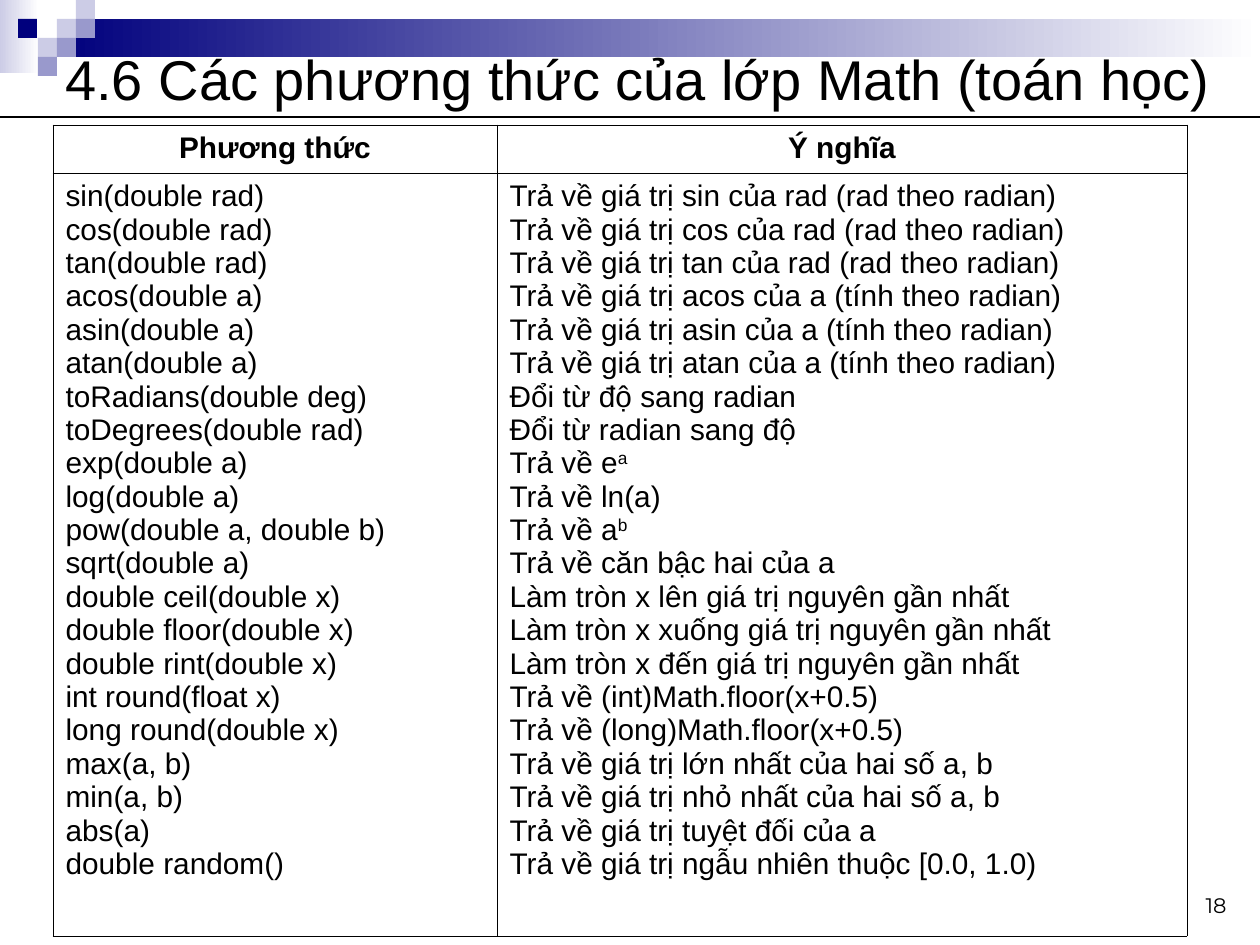
"""Build the slide that lists the methods of the Math class."""
import pptx
import pptx.dml.color
import pptx.enum.dml
import pptx.enum.shapes
import pptx.enum.text
import pptx.oxml
import pptx.oxml.ns
import pptx.util
from lxml import etree

PX = 914400 / 126
WHITE = pptx.dml.color.RGBColor(0xFF, 0xFF, 0xFF)
BLACK = pptx.dml.color.RGBColor(0x00, 0x00, 0x00)
NAVY = pptx.dml.color.RGBColor(0x00, 0x00, 0x7D)
LILAC = pptx.dml.color.RGBColor(0xCC, 0xCC, 0xE6)
VIOLET = pptx.dml.color.RGBColor(0x99, 0x99, 0xCC)
ALIGN = pptx.enum.text.PP_ALIGN
ANCHOR = pptx.enum.text.MSO_ANCHOR
RECT = pptx.enum.shapes.MSO_SHAPE.RECTANGLE
BODY = {"name": "Arial", "size": pptx.util.Pt(17), "bold": False}
HEAD = {**BODY, "bold": True}
TITLE = {**BODY, "size": pptx.util.Pt(32)}
NUMBER = {"name": "Montserrat", "size": pptx.util.Pt(12)}
METHODS = [
    ("sin(double rad)", "Trả về giá trị sin của rad (rad theo radian)"),
    ("cos(double rad)", "Trả về giá trị cos của rad (rad theo radian)"),
    ("tan(double rad)", "Trả về giá trị tan của rad (rad theo radian)"),
    ("acos(double a)", "Trả về giá trị acos của a (tính theo radian)"),
    ("asin(double a)", "Trả về giá trị asin của a (tính theo radian)"),
    ("atan(double a)", "Trả về giá trị atan của a (tính theo radian)"),
    ("toRadians(double deg)", "Đổi từ độ sang radian"),
    ("toDegrees(double rad)", "Đổi từ radian sang độ"),
    ("exp(double a)", "Trả về e^a"),
    ("log(double a)", "Trả về ln(a)"),
    ("pow(double a, double b)", "Trả về a^b"),
    ("sqrt(double a)", "Trả về căn bậc hai của a"),
    ("double ceil(double x)", "Làm tròn x lên giá trị nguyên gần nhất"),
    ("double floor(double x)", "Làm tròn x xuống giá trị nguyên gần nhất"),
    ("double rint(double x)", "Làm tròn x đến giá trị nguyên gần nhất"),
    ("int round(float x)", "Trả về (int)Math.floor(x+0.5)"),
    ("long round(double x)", "Trả về (long)Math.floor(x+0.5)"),
    ("max(a, b)", "Trả về giá trị lớn nhất của hai số a, b"),
    ("min(a, b)", "Trả về giá trị nhỏ nhất của hai số a, b"),
    ("abs(a)", "Trả về giá trị tuyệt đối của a"),
    ("double random()", "Trả về giá trị ngẫu nhiên thuộc [0.0, 1.0)"),
]


def emu(*lengths):
    return [pptx.util.Emu(round(n * PX)) for n in lengths]


def write(tf, lines, style, align, indent=0):
    for i, line in enumerate(lines):
        p = tf.paragraphs[0] if i == 0 else tf.add_paragraph()
        p.alignment = align
        if indent:
            pPr = p._p.get_or_add_pPr()
            pPr.set("marL", str(indent))
            pPr.set("indent", str(-indent))
        base, _, power = line.partition("^")
        for text in filter(None, (base, power)):
            r = p.add_run()
            r.text = text
            r.font.color.rgb = BLACK
            for key, value in style.items():
                setattr(r.font, key, value)
        if power:
            r._r.get_or_add_rPr().set("baseline", "30000")


prs = pptx.Presentation()
prs.slide_width, prs.slide_height = emu(1260, 945)
s = prs.slides.add_slide(prs.slide_layouts[6])

for box, color in [((0, 0, 39, 73), LILAC), ((57, 19, 1203, 38), NAVY)]:
    sp = s.shapes.add_shape(RECT, *emu(*box))
    sp.shadow.inherit = False
    sp.line.fill.background()
    sp.fill.gradient()
    sp.fill.gradient_angle = 180
    for stop, shade in zip(sp.fill.gradient_stops, (WHITE, color)):
        stop.color.rgb = shade

for x, y, color in [(57, 19, LILAC), (76, 0, LILAC), (76, 19, VIOLET), (38, 38, LILAC),
                    (18, 19, NAVY), (57, 38, VIOLET), (38, 57, VIOLET)]:
    sp = s.shapes.add_shape(RECT, *emu(x, y, 19, 19))
    sp.shadow.inherit = False
    sp.line.fill.background()
    sp.fill.solid()
    sp.fill.fore_color.rgb = color

rule = s.shapes.add_connector(pptx.enum.shapes.MSO_CONNECTOR.STRAIGHT, *emu(0, 117, 1260, 117))
rule.line.color.rgb = BLACK
rule.line.width = pptx.util.Pt(0.75)
etree.SubElement(rule._element.spPr, pptx.oxml.ns.qn("a:effectLst"))

for box, text, style, align, anchor in [
    ((53, 42, 1197, 73), "4.6 Các phương thức của lớp Math (toán học)", TITLE, ALIGN.LEFT, ANCHOR.MIDDLE),
    ((945, 861, 294, 63), "18", NUMBER, ALIGN.RIGHT, ANCHOR.BOTTOM),
]:
    tf = s.shapes.add_textbox(*emu(*box)).text_frame
    tf.word_wrap = True
    tf.vertical_anchor = anchor
    write(tf, [text], style, align)

table = s.shapes.add_table(2, 2, *emu(53, 125, 1134, 809)).table
table.first_row = table.horz_banding = False
for column, width in zip(table.columns, emu(444, 690)):
    column.width = width
for row, height in zip(table.rows, emu(48, 761)):
    row.height = height

methods, meanings = zip(*METHODS)
contents = [(["Phương thức"], HEAD, ALIGN.CENTER), (["Ý nghĩa"], HEAD, ALIGN.CENTER),
            (methods, BODY, ALIGN.LEFT), (meanings, BODY, ALIGN.LEFT)]
for cell, (lines, style, align) in zip(table.iter_cells(), contents):
    write(cell.text_frame, lines, style, align, emu(48)[0])
    tcPr = cell._tc.get_or_add_tcPr()
    for side in ("lnL", "lnR", "lnT", "lnB"):
        ln = etree.SubElement(tcPr, pptx.oxml.ns.qn("a:" + side), w=str(pptx.util.Pt(0.45)))
        fill = etree.SubElement(ln, pptx.oxml.ns.qn("a:solidFill"))
        etree.SubElement(fill, pptx.oxml.ns.qn("a:srgbClr"), val=str(BLACK))
    cell.fill.background()

prs.save("out.pptx")
